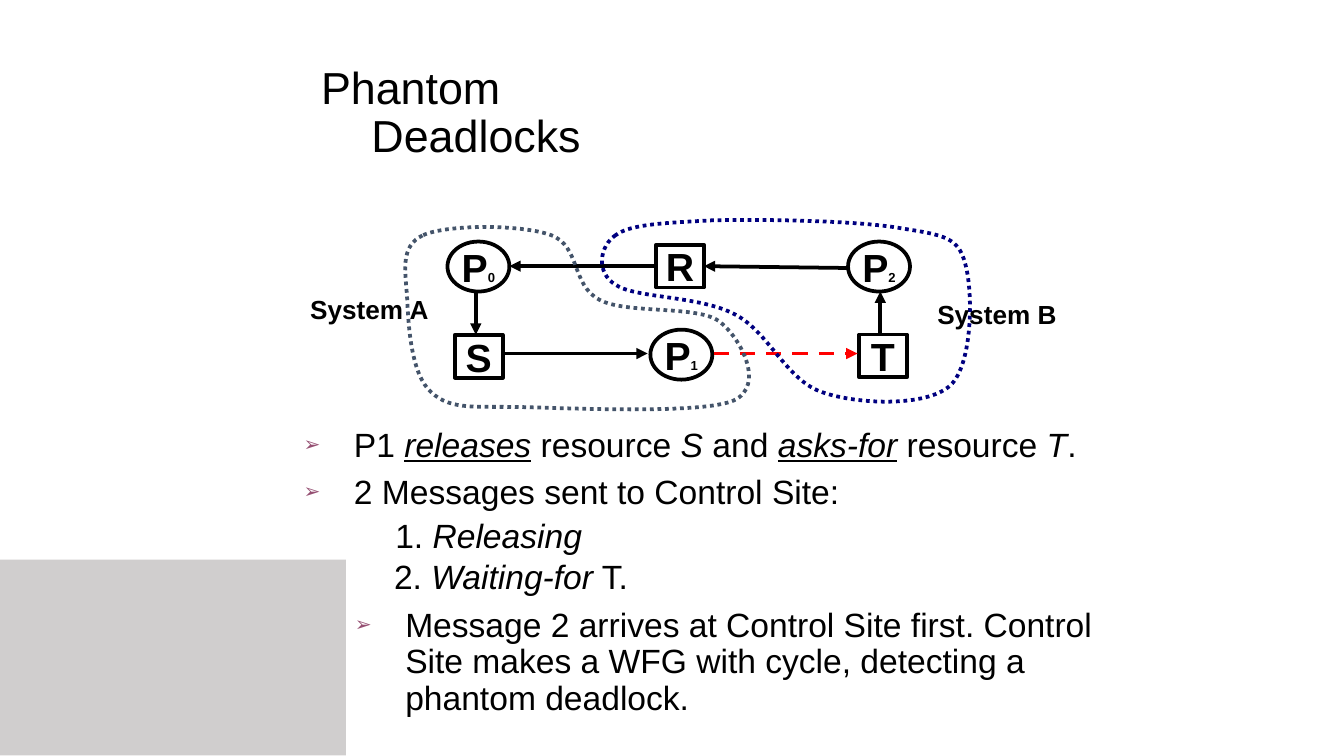
import pptx
import pptx.util
import pptx.dml.color
import pptx.enum.dml
import pptx.enum.shapes
import pptx.enum.text
import pptx.oxml.ns
from lxml import etree

Pt = pptx.util.Pt
SHAPE = pptx.enum.shapes.MSO_SHAPE
ALIGN = pptx.enum.text.PP_ALIGN
ANCHOR = pptx.enum.text.MSO_ANCHOR
DASH = pptx.enum.dml.MSO_LINE
qn = pptx.oxml.ns.qn

BLACK, WHITE, RED = "000000", "FFFFFF", "FF0000"
NAVY, SLATE, PLUM, GREY = "000080", "44546A", "954F72", "D0CECE"
BOLD = {"bold": True}
ITALIC = {"italic": True}
STRESS = {"italic": True, "underline": True}


def rgb(value):
    return pptx.dml.color.RGBColor.from_string(value)


def apply(target, formats):
    for key, value in formats.items():
        setattr(target, key, value)


def set_line(line, color, dash=DASH.SOLID):
    line.color.rgb = rgb(color)
    apply(line, {"width": Pt(2), "dash_style": dash})


def add_runs(paragraph, runs):
    """Each run is (text, size, font formats)."""
    for text, size, formats in runs:
        run = paragraph.add_run()
        run.text = text
        run.font.color.rgb = rgb(BLACK)
        apply(run.font, {"name": "Arial", "size": Pt(size), **formats})


def hanging_text(frame, runs, bullet=False):
    """Fill a frame with one hanging paragraph, with or without an arrow bullet."""
    apply(frame, {"word_wrap": True, "vertical_anchor": ANCHOR.TOP,
                  "auto_size": pptx.enum.text.MSO_AUTO_SIZE.NONE,
                  "margin_left": Pt(5), "margin_right": Pt(5),
                  "margin_top": Pt(3), "margin_bottom": Pt(3)})
    paragraph = frame.paragraphs[0]
    properties = paragraph._p.get_or_add_pPr()
    properties.set("marL", str(Pt(27)))
    properties.set("indent", str(-Pt(27)))
    if bullet:
        color = etree.SubElement(properties, qn("a:buClr"))
        etree.SubElement(color, qn("a:srgbClr"), val=PLUM)
        etree.SubElement(properties, qn("a:buSzPct"), val="60000")
        etree.SubElement(properties, qn("a:buFont"), typeface="Arial")
        etree.SubElement(properties, qn("a:buChar"), char="➢")
    else:
        etree.SubElement(properties, qn("a:buNone"))
    apply(paragraph, {"alignment": ALIGN.LEFT, "line_spacing": 0.9})
    add_runs(paragraph, runs)


def centred_text(frame, runs):
    apply(frame, {"word_wrap": False, "vertical_anchor": ANCHOR.MIDDLE})
    frame.paragraphs[0].alignment = ALIGN.CENTER
    add_runs(frame.paragraphs[0], runs)


def smooth(outline):
    """Turn each three line segments of a freeform into one cubic curve."""
    segments = list(outline._element.iter(qn("a:lnTo")))
    for first in range(0, len(segments), 3):
        curve = etree.Element(qn("a:cubicBezTo"))
        segments[first].addprevious(curve)
        for segment in segments[first:first + 3]:
            curve.append(segment[0])
            segment.getparent().remove(segment)


def title(slide, left, top, width, height):
    heading = slide.shapes.title
    apply(heading, {"left": Pt(left), "top": Pt(top),
                    "width": Pt(width), "height": Pt(height)})
    hanging_text(heading.text_frame, [("Phantom Deadlocks", 24, {})])


def wait_for_graph(slide, left, top):
    shapes = slide.shapes

    # Processes (ellipses) and resources (squares), by their centres
    nodes = {}
    for name, x, y in (("P0", 103.3, 25.8), ("P2", 317.9, 25.8), ("P1", 212, 73),
                       ("R", 211.3, 25.6), ("S", 103.5, 73.9), ("T", 320, 73.7)):
        process = name[0] == "P"
        width, height = (33.2, 26.8) if process else (25.6, 23)
        node = shapes.add_shape(
            SHAPE.OVAL if process else SHAPE.RECTANGLE,
            Pt(left + x - width / 2), Pt(top + y - height / 2), Pt(width), Pt(height))
        node.shadow.inherit = False
        if process:
            node.fill.solid()
            node.fill.fore_color.rgb = rgb(WHITE)
        else:
            node.fill.background()
        set_line(node.line, BLACK)
        runs = [(name[0], 21, BOLD)]
        if process:
            runs.append((name[1], 7, BOLD))
        centred_text(node.text_frame, runs)
        nodes[name] = node

    # Arrows; those of R start or end at the middle of its sides
    for x1, y1, x2, y2, color, dash, joined in (
            (101.9, 39.2, 101.9, 62.3, BLACK, DASH.SOLID, None),
            (117, 72.4, 194, 72.4, BLACK, DASH.SOLID, None),
            (229.3, 72.4, 306.4, 72.4, RED, DASH.DASH, None),
            (318.6, 62.3, 318.6, 39.2, BLACK, DASH.SOLID, None),
            (301.3, 26.6, 224.1, 25.6, BLACK, DASH.SOLID, "end"),
            (198.5, 25.6, 119.9, 25.6, BLACK, DASH.SOLID, "begin")):
        arrow = shapes.add_connector(
            pptx.enum.shapes.MSO_CONNECTOR.STRAIGHT,
            Pt(left + x1), Pt(top + y1), Pt(left + x2), Pt(top + y2))
        if joined == "begin":
            arrow.begin_connect(nodes["R"], 1)
        elif joined == "end":
            arrow.end_connect(nodes["R"], 3)
        set_line(arrow.line, color, dash)
        etree.SubElement(arrow.line._get_or_add_ln(), qn("a:tailEnd"), type="triangle")
        etree.SubElement(arrow._element.spPr, qn("a:effectLst"))

    # Dotted boundaries: a start, then two handles and an end for each curve
    system_b = [
        (176.8, 9),
        (168.1, 14.8), (166, 29.2), (176.8, 35.6),
        (186.8, 42.8), (222.1, 41.4), (240.8, 51.5),
        (258.8, 60.8), (268.2, 86.8), (287.6, 93.2),
        (306.4, 99.7), (343.1, 101.2), (356, 89.6),
        (368.3, 78.1), (368.3, 38.5), (364, 24.1),
        (360.4, 10.4), (353.2, 9), (330.1, 5.4),
        (307.1, 1.1), (253.1, 0.4), (227.9, 1.1),
        (202, 2.5), (184.7, 3.2), (176.8, 9)]
    system_a = [
        (73.8, 9),
        (86.8, 3.2), (126.4, 3.2), (142.2, 9),
        (158, 14.8), (153, 35.6), (168.1, 43.6),
        (182.5, 51.5), (220, 46.4), (232.2, 55.1),
        (243.7, 63.7), (257.4, 89.6), (240.1, 97.6),
        (223.6, 104.8), (156.6, 101.9), (129.2, 101.2),
        (102.6, 100.4), (88.9, 103.3), (78.1, 93.2),
        (67.3, 83.9), (65.9, 58), (65.2, 43.6),
        (64.4, 29.2), (60.8, 14.8), (73.8, 9)]
    for boundary_points, color in ((system_b, NAVY), (system_a, SLATE)):
        points = [(Pt(left + x), Pt(top + y)) for x, y in boundary_points]
        builder = shapes.build_freeform(*points[0])
        builder.add_line_segments(points[1:], close=True)
        boundary = builder.convert_to_shape()
        smooth(boundary)
        boundary.shadow.inherit = False
        boundary.fill.background()
        set_line(boundary.line, color, DASH.ROUND_DOT)

    # System names
    for name, x, y, width in (("System A", 0.4, 38.7, 89), ("System B", 325.6, 41.6, 111)):
        label = shapes.add_textbox(Pt(left + x), Pt(top + y), Pt(width), Pt(19.5))
        centred_text(label.text_frame, [(name, 14, BOLD)])


def explanation(slide, left, top):
    for x, y, width, height, bullet, runs in (
            (0, 0, 434, 22, True, [
                ("P1 ", {}), ("releases", STRESS), (" resource ", {}), ("S ", ITALIC),
                ("and ", {}), ("asks-for", STRESS), (" resource ", {}),
                ("T", ITALIC), (".", {})]),
            (0, 25.2, 364, 22, True, [("2 Messages sent to Control Site:", {})]),
            (49.2, 49, 127, 22, False, [("1. ", {}), ("Releasing", ITALIC)]),
            (48.5, 71, 146, 22, False, [("2. ", {}), ("Waiting-for", ITALIC), (" T.", {})]),
            (27.5, 96.5, 428, 63, True, [
                ("Message 2 arrives at Control Site first. Control Site makes "
                 "a WFG with cycle, detecting a phantom deadlock.", {})])):
        point = slide.shapes.add_textbox(Pt(left + x), Pt(top + y), Pt(width), Pt(height))
        hanging_text(point.text_frame, [(text, 18, style) for text, style in runs], bullet)


def corner_block(slide, left, top, width, height):
    block = slide.shapes.add_shape(SHAPE.RECTANGLE, Pt(left), Pt(top), Pt(width), Pt(height))
    block.shadow.inherit = False
    block.fill.solid()
    block.fill.fore_color.rgb = rgb(GREY)
    block.line.fill.background()


def main():
    deck = pptx.Presentation()
    apply(deck, {"slide_width": Pt(720), "slide_height": Pt(405)})
    slide = deck.slides.add_slide(deck.slide_layouts[5])
    title(slide, 167, 32, 223, 72)
    wait_for_graph(slide, 153, 117)
    explanation(slide, 157.6, 226.5)
    corner_block(slide, 0, 299.8, 185.3, 105)
    deck.save("out.pptx")


if __name__ == "__main__":
    main()
